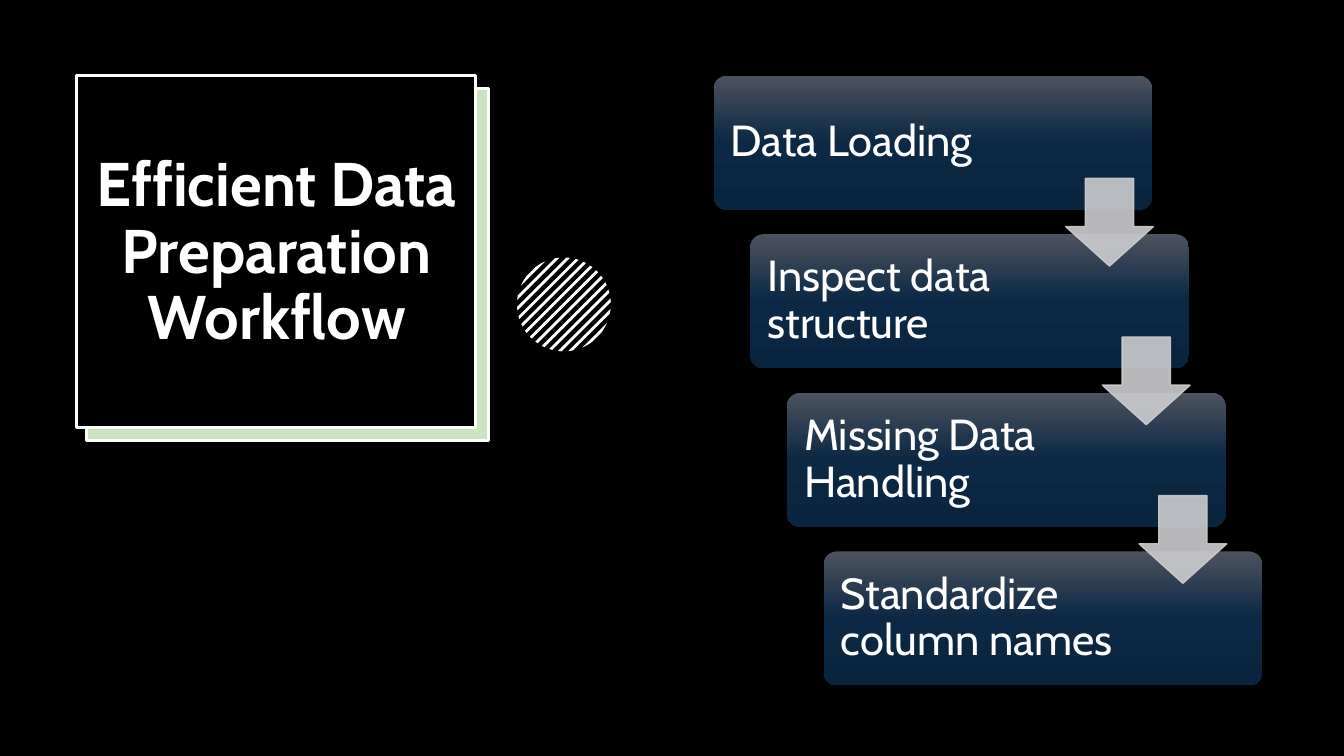
import copy
import dataclasses
import math

import lxml.etree
import pptx
import pptx.dml.color
import pptx.enum.shapes
import pptx.enum.text
import pptx.oxml.ns
import pptx.util

SLIDE_WIDTH = pptx.util.Inches(13.333)
SLIDE_HEIGHT = pptx.util.Inches(7.5)
SHAPES = pptx.enum.shapes.MSO_SHAPE
ALIGN = pptx.enum.text.PP_ALIGN
FONT = "Cabin"
WHITE, BLACK, GREEN, SILVER = "FFFFFF", "000000", "4EA72E", "CCCDCF"
STEP_GRADIENT = ("4C525F", "0B2844", "08243E")


@dataclasses.dataclass(frozen=True)
class Area:
    """A rectangle in percent of the slide's width and height."""
    left: float
    top: float
    width: float
    height: float

    def shifted(self, columns: float, rows: float) -> "Area":
        return dataclasses.replace(self, left=self.left + columns, top=self.top + rows)

    def emu(self) -> tuple:
        return (across(self.left), down(self.top), across(self.width), down(self.height))


@dataclasses.dataclass(frozen=True)
class Step:
    label: str
    label_width: float


STEPS = (
    Step("Data Loading", 21),
    Step("Inspect data structure", 22.8),
    Step("Missing Data Handling", 22.8),
    Step("Standardize column names", 22.8),
)
STEP_SHIFT = (2.73, 20.98)
FIRST_STEP = Area(53.1, 10, 32.63, 17.73)
FIRST_LABEL = Area(53.4, 10.53, 21, 16.67)
FIRST_ARROW = Area(79.29, 23.6, 6.53, 11.6)

TITLE_FRAME = Area(5.7, 10, 29.7, 46.53)
TITLE_SHADOW = Area(6.45, 11.73, 29.93, 46.53)
TITLE_TEXT = Area(6.08, 12.53, 29.03, 42)


def across(percent: float) -> int:
    return round(SLIDE_WIDTH * percent / 100)


def down(percent: float) -> int:
    return round(SLIDE_HEIGHT * percent / 100)


def color(hex_value: str):
    return pptx.dml.color.RGBColor.from_string(hex_value)


def set_opacity(shape, parent: str, percent: int) -> None:
    for rgb in shape._element.spPr.xpath(f"{parent}/a:srgbClr"):
        alpha = lxml.etree.SubElement(rgb, pptx.oxml.ns.qn("a:alpha"))
        alpha.set("val", str(percent * 1000))


def paint(shape, fill: str, line: str = "", line_width: float = 0,
          opacity: int = 100, line_opacity: int = 100) -> None:
    shape.shadow.inherit = False
    shape.fill.solid()
    shape.fill.fore_color.rgb = color(fill)
    if opacity < 100:
        set_opacity(shape, "./a:solidFill", opacity)
    if not line:
        shape.line.fill.background()
        return
    shape.line.color.rgb = color(line)
    shape.line.width = pptx.util.Pt(line_width)
    if line_opacity < 100:
        set_opacity(shape, "./a:ln/a:solidFill", line_opacity)


def add_box(slide, area: Area, fill: str, **style) -> None:
    paint(slide.shapes.add_shape(SHAPES.RECTANGLE, *area.emu()), fill, **style)


def add_text(slide, area: Area, text: str, *, size: float, bold: bool = False,
             align=ALIGN.LEFT, inset: float = 0.1) -> None:
    frame = slide.shapes.add_textbox(*area.emu()).text_frame
    frame.word_wrap = True
    frame.vertical_anchor = pptx.enum.text.MSO_ANCHOR.MIDDLE
    frame.margin_left = frame.margin_right = pptx.util.Inches(inset)
    paragraph = frame.paragraphs[0]
    paragraph.text = text
    paragraph.alignment = align
    paragraph.line_spacing = 0.9
    paragraph.font.name = FONT
    paragraph.font.size = pptx.util.Pt(size)
    paragraph.font.bold = bold
    paragraph.font.color.rgb = color(WHITE)


def add_step_card(slide, area: Area) -> None:
    card = slide.shapes.add_shape(SHAPES.ROUNDED_RECTANGLE, *area.emu())
    card.adjustments[0] = 0.1
    card.shadow.inherit = False
    card.line.fill.background()
    card.fill.gradient()
    card.fill.gradient_angle = 270
    first_stop = card._element.spPr.xpath("./a:gradFill/a:gsLst/a:gs")[0]
    first_stop.addnext(copy.deepcopy(first_stop))
    for index, (stop, shade) in enumerate(zip(card.fill.gradient_stops, STEP_GRADIENT)):
        stop.position = index / 2
        stop.color.rgb = color(shade)


def add_arrow(slide, area: Area) -> None:
    arrow = slide.shapes.add_shape(SHAPES.DOWN_ARROW, *area.emu())
    # The first handle sets the head's length, the second the shaft's width
    arrow.adjustments[0] = 0.55
    arrow.adjustments[1] = 0.45
    paint(arrow, SILVER, line=SILVER, line_width=1, opacity=90, line_opacity=90)


def add_striped_circle(slide) -> None:
    """Cut a circle into 13 diagonal stripes, set evenly about its centre."""
    center_x, center_y, radius = across(41.96), down(40.27), across(3.49)
    pitch, half_width, arc_points = 0.16, 0.03, 6
    for index in range(-6, 7):
        near, far = (math.acos(max(-1, min(1, index * pitch + side * half_width)))
                     for side in (-1, 1))
        arc = [near + (far - near) * i / arc_points for i in range(arc_points + 1)]
        angles = arc + [-angle for angle in reversed(arc)]
        outline = [(center_x + radius * math.cos(math.pi / 4 + angle),
                    center_y + radius * math.sin(math.pi / 4 + angle))
                   for angle in angles]
        builder = slide.shapes.build_freeform(*outline[0])
        builder.add_line_segments(outline[1:], close=True)
        paint(builder.convert_to_shape(), WHITE)


def main() -> None:
    presentation = pptx.Presentation()
    presentation.slide_width, presentation.slide_height = SLIDE_WIDTH, SLIDE_HEIGHT
    slide = presentation.slides.add_slide(presentation.slide_layouts[6])

    # Backdrop
    add_box(slide, Area(0, 0, 100, 100), BLACK)

    # Framed title with its offset green panel
    for fill, opacity in ((WHITE, 100), (GREEN, 30)):
        add_box(slide, TITLE_SHADOW, fill, line=WHITE, line_width=2.25, opacity=opacity)
    add_box(slide, TITLE_FRAME, BLACK, line=WHITE, line_width=2.25)
    add_text(slide, TITLE_TEXT, "Efficient Data Preparation Workflow",
             size=44, bold=True, align=ALIGN.CENTER)

    # Ornament
    add_striped_circle(slide)

    # Staircase of steps
    shifts = [(STEP_SHIFT[0] * i, STEP_SHIFT[1] * i) for i in range(len(STEPS))]
    for step, shift in zip(STEPS, shifts):
        add_step_card(slide, FIRST_STEP.shifted(*shift))
        label_area = dataclasses.replace(FIRST_LABEL, width=step.label_width)
        add_text(slide, label_area.shifted(*shift), step.label, size=31, inset=0.13)

    # Arrows between the steps
    for shift in shifts[:-1]:
        add_arrow(slide, FIRST_ARROW.shifted(*shift))

    presentation.save("out.pptx")


if __name__ == "__main__":
    main()
